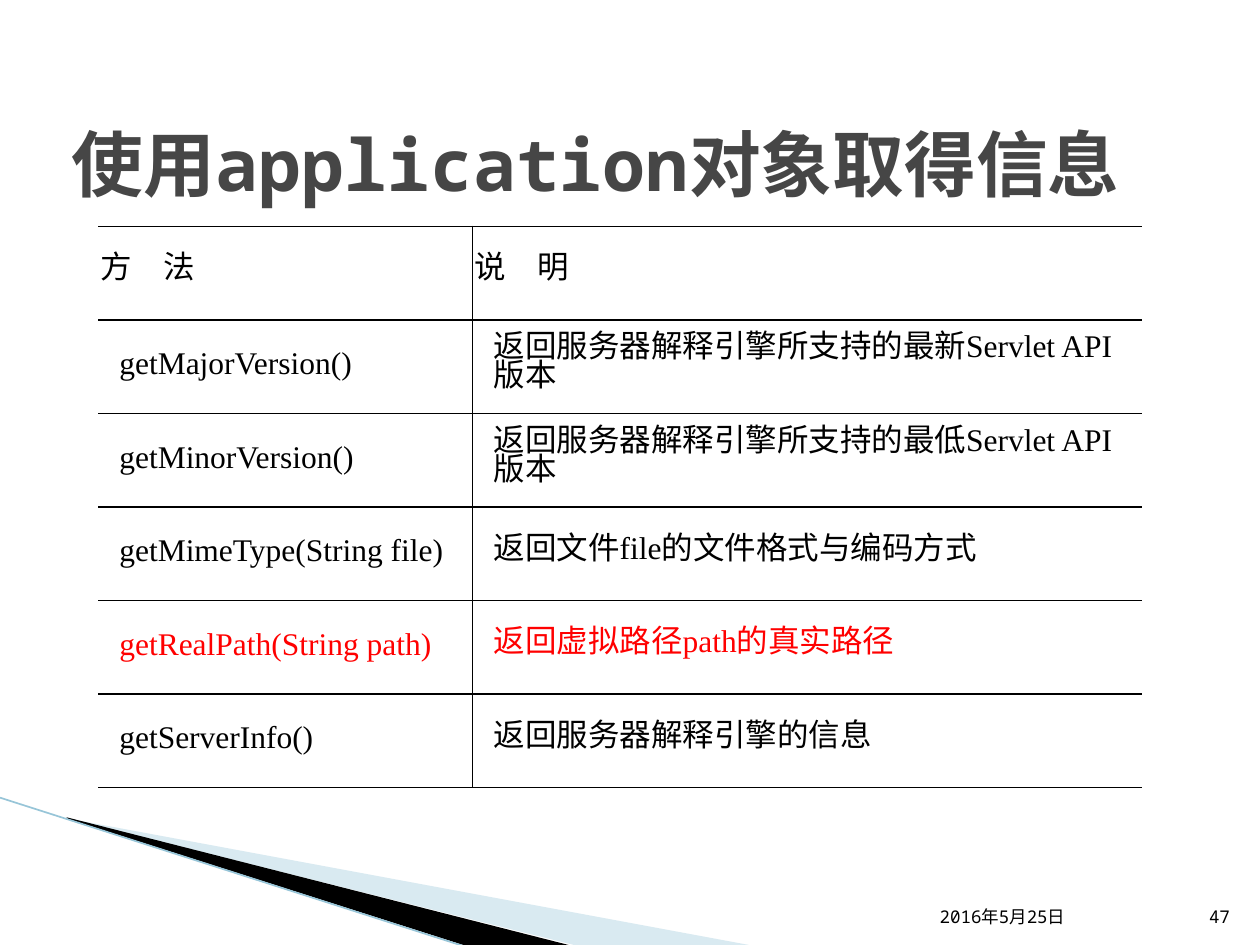
from pptx import Presentation, util as u
from pptx.dml.color import RGBColor
from pptx.enum import shapes, text
from pptx.oxml import ns, xmlchemy as xc

BLACK = RGBColor(0x00, 0x00, 0x00)
GREY = RGBColor(0x46, 0x46, 0x46)
RED = RGBColor(0xFF, 0x00, 0x00)
PALE = RGBColor(0xA0, 0xCB, 0xDC)
TEAL = RGBColor(0x97, 0xC5, 0xD8)
Pt = u.Pt
MID = text.MSO_ANCHOR.MIDDLE
LOW = text.MSO_ANCHOR.BOTTOM
LEFT = text.PP_ALIGN.LEFT
RIGHT = text.PP_ALIGN.RIGHT


def add(parent, tag, **attrs):
    node = xc.OxmlElement(tag)
    for key, val in attrs.items():
        node.set(key, str(val))
    parent.append(node)
    return node


class Deck:
    mono = "Noto Sans Mono"
    head = "Arial"
    body = "Times New Roman"
    size = 18
    lead = 16.6
    dent = 10.8

    def __init__(self, wide, high):
        self.prs = Presentation()
        self.prs.slide_width, self.prs.slide_height = Pt(wide), Pt(high)
        self.slide = self.prs.slides.add_slide(self.prs.slide_layouts[6])
        self.shapes = self.slide.shapes

    def put(self, para, words, color, **form):
        run = para.add_run()
        run.text = words
        run.font.color.rgb = color
        for key, val in form.items():
            setattr(run.font, key, val)

    def label(self, box, words, size, color=BLACK, anchor=LOW, align=LEFT, bold=False):
        frame = self.shapes.add_textbox(*map(Pt, box)).text_frame
        frame.word_wrap = True
        frame.vertical_anchor = anchor
        para = frame.paragraphs[0]
        para.alignment = align
        self.put(para, words, color, name=self.mono, size=Pt(size), bold=bold)

    def wedge(self, points, color, alpha=None):
        start, *rest = points
        form = self.shapes.build_freeform(*start, scale=Pt(1))
        form.add_line_segments(rest, close=True)
        shape = form.convert_to_shape()
        shape.shadow.inherit = False
        shape.fill.solid()
        shape.fill.fore_color.rgb = color
        shape.line.fill.background()
        if alpha:
            tint = shape._element.spPr.find(".//" + ns.qn("a:srgbClr"))
            add(tint, "a:alpha", val=alpha * 1000)

    def line(self, start, end, color, width):
        rule = self.shapes.add_connector(
            shapes.MSO_CONNECTOR.STRAIGHT, *map(Pt, (*start, *end)))
        rule.line.color.rgb = color
        rule.line.width = Pt(width)
        add(rule._element.spPr, "a:effectLst")

    def edge(self, cell, sides):
        props = cell._tc.get_or_add_tcPr()
        for side in "LRTB":
            rule = add(props, "a:ln" + side, w=Pt(1))
            if side in sides:
                add(add(rule, "a:solidFill"), "a:srgbClr", val=BLACK)
            else:
                add(rule, "a:noFill")
        cell.fill.background()

    def cell(self, cell, words, font, color, dent, sides):
        form = dict(margin_left=Pt(1.4), margin_right=Pt(1.4), margin_top=0,
                    margin_bottom=0, vertical_anchor=MID)
        for key, val in form.items():
            setattr(cell, key, val)
        self.edge(cell, sides)
        para = cell.text_frame.paragraphs[0]
        para._p.get_or_add_pPr().set("marL", str(Pt(dent)))
        para.line_spacing = Pt(self.lead)
        self.put(para, words, color, name=font, size=Pt(self.size), bold=False)

    def table(self, left, top, cols, high, rows, hot):
        grid = self.shapes.add_table(
            len(rows), len(cols), Pt(left), Pt(top), Pt(sum(cols)), Pt(high * len(rows))).table
        grid.first_row = grid.horz_banding = False
        for col, wide in zip(grid.columns, cols):
            col.width = Pt(wide)
        for num, row in enumerate(rows):
            grid.rows[num].height = Pt(high)
            font, dent = (self.body, self.dent) if num else (self.head, 0)
            color = RED if num == hot else BLACK
            for pos, words in enumerate(row):
                sides = "LTB" if pos else "RTB"
                self.cell(grid.cell(num, pos), words, font, color, dent, sides)


def main():
    deck = Deck(720, 540)
    deck.wedge([(39.6, 468.5), (428.4, 540.5), (328.3, 540.5), (39.6, 468)], PALE, 40)
    deck.wedge([(38.2, 467.3), (329, 540.7), (267.8, 541.4), (38.9, 468)], BLACK)
    deck.line((-0.7, 455.6), (267.3, 541.4), TEAL, 0.95)
    deck.label((33.8, 48.2, 686.2, 90), "使用application对象取得信息", 41,
               GREY, MID, bold=True)
    deck.label((529.9, 504.7, 151.2, 28.8), "2016年5月25日", 10)
    deck.label((681.1, 504.7, 28.8, 28.8), "47", 10, align=RIGHT)
    rows = [
        ("方　法", "说　明"),
        ("getMajorVersion()", "返回服务器解释引擎所支持的最新Servlet API版本"),
        ("getMinorVersion()", "返回服务器解释引擎所支持的最低Servlet API版本"),
        ("getMimeType(String file)", "返回文件file的文件格式与编码方式"),
        ("getRealPath(String path)", "返回虚拟路径path的真实路径"),
        ("getServerInfo()", "返回服务器解释引擎的信息"),
    ]
    deck.table(56, 129.4, (213.9, 382.5), 53.45, rows, 4)
    deck.prs.save("out.pptx")


if __name__ == "__main__":
    main()
